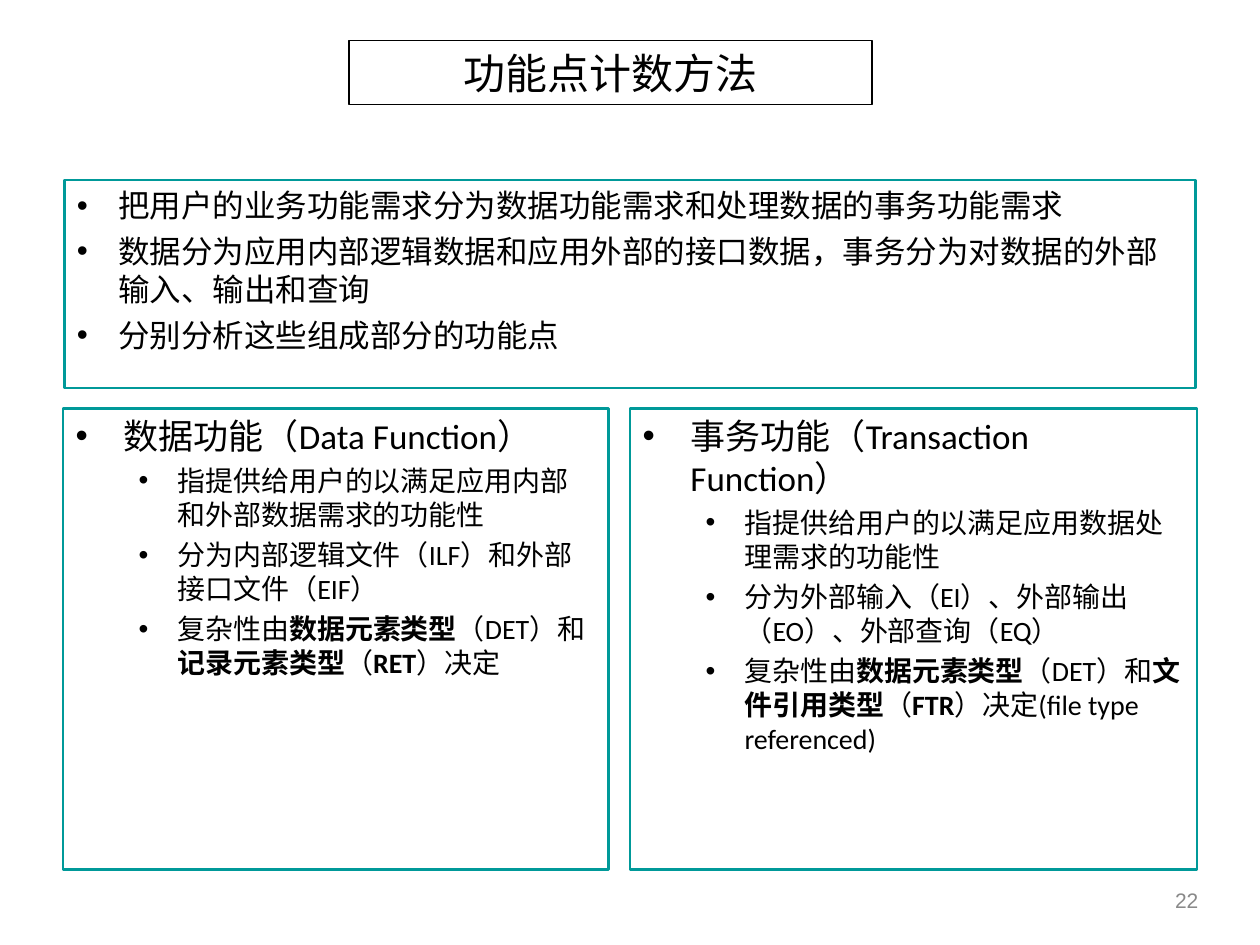
from dataclasses import dataclass

from lxml import etree
from pptx import Presentation
from pptx.dml.color import RGBColor
from pptx.enum.text import MSO_ANCHOR, MSO_AUTO_SIZE, PP_ALIGN
from pptx.oxml.ns import qn
from pptx.util import Inches, Pt

TOP, MIDDLE = MSO_ANCHOR.TOP, MSO_ANCHOR.MIDDLE
LEFT, CENTER, RIGHT = PP_ALIGN.LEFT, PP_ALIGN.CENTER, PP_ALIGN.RIGHT
NO_AUTOFIT = MSO_AUTO_SIZE.NONE
COMPARISON_LAYOUT = 4


@dataclass(frozen=True)
class Theme:
    ink: str = "000000"
    paper: str = "FFFFFF"
    frame: str = "009999"
    muted: str = "898989"
    title_font: str = "Noto Sans CJK SC"
    body_font: str = "Calibri"
    number_font: str = "Arial"
    title_size: int = 24
    overview_size: int = 18
    heading_size: int = 20
    detail_size: int = 16
    number_size: int = 12


@dataclass(frozen=True)
class ListLevel:
    depth: int
    size: int
    margin: float
    hanging: float
    space_before: float


THEME = Theme()
OVERVIEW = ListLevel(0, THEME.overview_size, 0.33, 0.33, 4.5)
HEADING = ListLevel(0, THEME.heading_size, 0.38, 0.38, 5)
DETAIL = ListLevel(1, THEME.detail_size, 0.81, 0.31, 4)

OVERVIEW_POINTS = [
    "把用户的业务功能需求分为数据功能需求和处理数据的事务功能需求",
    "数据分为应用内部逻辑数据和应用外部的接口数据，事务分为对数据的外部输入、输出和查询",
    "分别分析这些组成部分的功能点",
]
# Text between ** marks is bold.
DATA_FUNCTION = [
    "数据功能（Data Function）",
    "指提供给用户的以满足应用内部和外部数据需求的功能性",
    "分为内部逻辑文件（ILF）和外部接口文件（EIF）",
    "复杂性由**数据元素类型**（DET）和**记录元素类型**（**RET**）决定",
]
TRANSACTION_FUNCTION = [
    "事务功能（Transaction Function）",
    "指提供给用户的以满足应用数据处理需求的功能性",
    "分为外部输入（EI）、外部输出（EO）、外部查询（EQ）",
    "复杂性由**数据元素类型**（DET）和**文件引用类型**（**FTR**）决定(file type referenced)",
]


class SlideBuilder:
    def __init__(self, slide, theme):
        self.slide = slide
        self.theme = theme

    def place(self, shape, box, anchor):
        for side, inches in zip(("left", "top", "width", "height"), box):
            setattr(shape, side, Inches(inches))
        frame_format = {
            "word_wrap": True,
            "auto_size": NO_AUTOFIT,
            "vertical_anchor": anchor,
            "margin_left": Inches(0.1),
            "margin_right": Inches(0.1),
            "margin_top": Inches(0.05),
            "margin_bottom": Inches(0.05),
        }
        for name, value in frame_format.items():
            setattr(shape.text_frame, name, value)

    def outline(self, shape, color, width, filled):
        if filled:
            shape.fill.solid()
            shape.fill.fore_color.rgb = RGBColor.from_string(self.theme.paper)
        shape.line.color.rgb = RGBColor.from_string(color)
        shape.line.width = Pt(width)

    def add_text(self, paragraph, text, font, size, color):
        for position, part in enumerate(text.split("**")):
            run = paragraph.add_run()
            run.text = part
            run_format = {"name": font, "size": Pt(size), "bold": position % 2 == 1}
            for name, value in run_format.items():
                setattr(run.font, name, value)
            run.font.color.rgb = RGBColor.from_string(color)
            east_asian = etree.SubElement(run._r.get_or_add_rPr(), qn("a:ea"))
            east_asian.set("typeface", font)

    def bullet(self, paragraph, level):
        properties = paragraph._p.get_or_add_pPr()
        properties.set("marL", str(Inches(level.margin)))
        properties.set("indent", str(-Inches(level.hanging)))
        bullet_color = etree.SubElement(properties, qn("a:buClr"))
        etree.SubElement(bullet_color, qn("a:srgbClr")).set("val", self.theme.ink)
        etree.SubElement(properties, qn("a:buFont")).set("typeface", "Arial")
        etree.SubElement(properties, qn("a:buChar")).set("char", "•")

    def title(self, text, box):
        heading = self.slide.shapes.title
        self.place(heading, box, MIDDLE)
        self.outline(heading, self.theme.ink, 0.75, filled=True)
        paragraph = heading.text_frame.paragraphs[0]
        paragraph.alignment = CENTER
        self.add_text(paragraph, text, self.theme.title_font,
                      self.theme.title_size, self.theme.ink)

    def bullet_list(self, index, box, items, filled=False):
        """Fill a body placeholder with (text, level) pairs."""
        body = self.slide.placeholders[index]
        self.place(body, box, TOP)
        self.outline(body, self.theme.frame, 1.5, filled)
        frame = body.text_frame
        for position, (text, level) in enumerate(items):
            paragraph = frame.add_paragraph() if position else frame.paragraphs[0]
            self.bullet(paragraph, level)
            paragraph_format = {
                "level": level.depth,
                "alignment": LEFT,
                "space_before": Pt(level.space_before if position else 0),
            }
            for name, value in paragraph_format.items():
                setattr(paragraph, name, value)
            self.add_text(paragraph, text, self.theme.body_font,
                          level.size, self.theme.ink)

    def page_number(self, text, box):
        number = self.slide.shapes.add_textbox(0, 0, 0, 0)
        self.place(number, box, MIDDLE)
        paragraph = number.text_frame.paragraphs[0]
        paragraph.alignment = RIGHT
        self.add_text(paragraph, text, self.theme.number_font,
                      self.theme.number_size, self.theme.muted)

    def remove_empty_placeholders(self):
        for placeholder in list(self.slide.placeholders):
            if not placeholder.text_frame.text:
                placeholder._element.getparent().remove(placeholder._element)


def with_heading(texts):
    return [(texts[0], HEADING)] + [(text, DETAIL) for text in texts[1:]]


def main():
    deck = Presentation()
    deck.slide_width, deck.slide_height = Inches(10), Inches(7.5)
    slide = deck.slides.add_slide(deck.slide_layouts[COMPARISON_LAYOUT])
    builder = SlideBuilder(slide, THEME)

    builder.title("功能点计数方法", (2.77, 0.32, 4.15, 0.51))
    builder.bullet_list(1, (0.51, 1.43, 8.98, 1.65),
                        [(text, OVERVIEW) for text in OVERVIEW_POINTS], filled=True)
    builder.bullet_list(2, (0.5, 3.24, 4.33, 3.66), with_heading(DATA_FUNCTION))
    builder.bullet_list(4, (5, 3.24, 4.5, 3.66), with_heading(TRANSACTION_FUNCTION))
    builder.page_number("22", (7.28, 6.88, 2.33, 0.52))
    builder.remove_empty_placeholders()
    deck.save("out.pptx")


if __name__ == "__main__":
    main()
